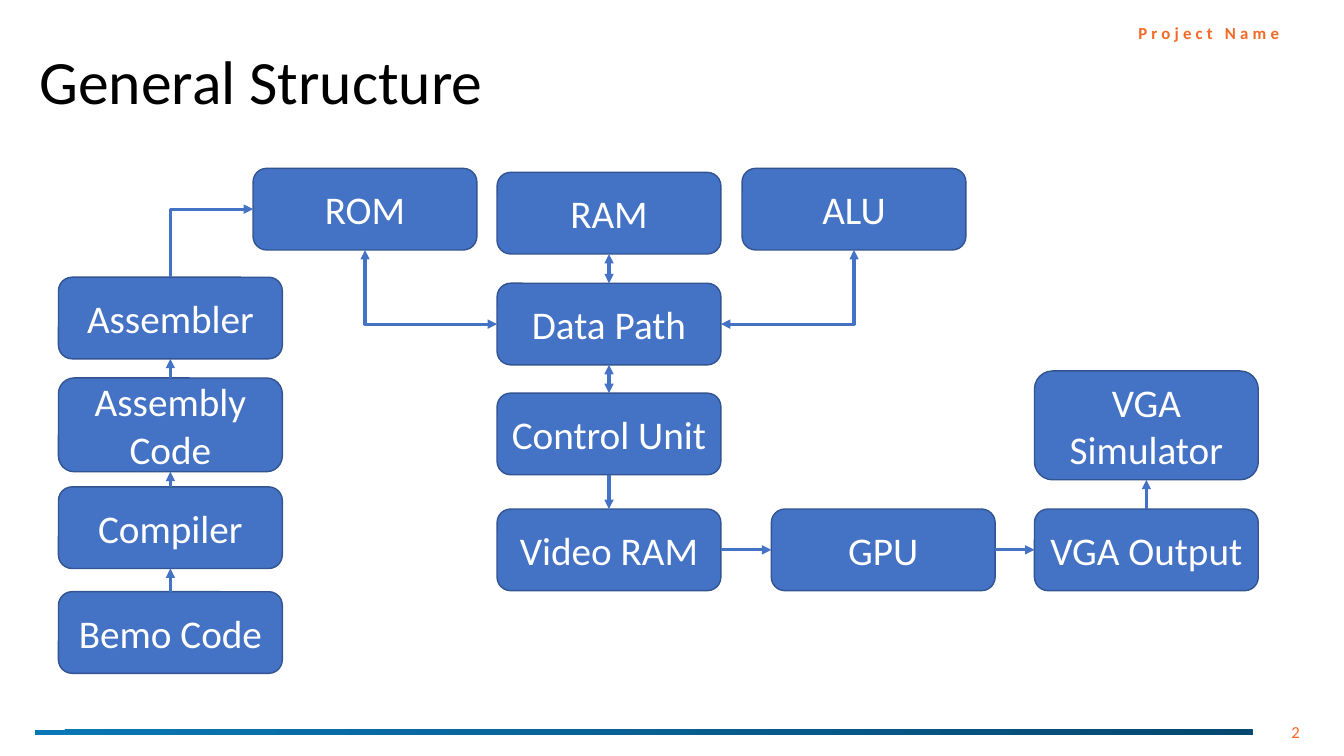
from lxml import etree
from pptx import Presentation
from pptx.dml.color import RGBColor
from pptx.enum.shapes import MSO_CONNECTOR, MSO_SHAPE
from pptx.enum.text import MSO_ANCHOR, PP_ALIGN
from pptx.oxml.ns import qn
from pptx.util import Inches, Pt

FONT = "Calibri"
BLUE, BORDER, ORANGE, WHITE, BLACK = "4472C4", "325491", "F26A25", "FFFFFF", "000000"
BAR_COLOURS = ("0A78B6", "064870")

BOX_W, BOX_H = 2.22, 0.81
TOOLCHAIN_X, CORE_X, VGA_X = 0.58, 4.93, 10.26
VIDEO_Y = 5.05

# name: (left, top, height)
BLOCKS = {
    "Bemo Code": (TOOLCHAIN_X, 5.87, BOX_H),
    "Compiler": (TOOLCHAIN_X, 4.83, BOX_H),
    "Assembly Code": (TOOLCHAIN_X, 3.75, 0.93),
    "Assembler": (TOOLCHAIN_X, 2.75, BOX_H),
    "ROM": (2.51, 1.67, BOX_H),
    "RAM": (CORE_X, 1.71, BOX_H),
    "ALU": (7.36, 1.67, BOX_H),
    "Data Path": (CORE_X, 2.81, BOX_H),
    "Control Unit": (CORE_X, 3.9, BOX_H),
    "Video RAM": (CORE_X, VIDEO_Y, BOX_H),
    "GPU": (7.65, VIDEO_Y, BOX_H),
    "VGA Output": (VGA_X, VIDEO_Y, BOX_H),
    "VGA Simulator": (VGA_X, 3.68, 1.08),
}

# Connection sites of a rounded rectangle
TOP, LEFT, BOTTOM, RIGHT = range(4)

# (from, site, to, site)
STRAIGHT_ARROWS = [
    ("Bemo Code", TOP, "Compiler", BOTTOM),
    ("Compiler", TOP, "Assembly Code", BOTTOM),
    ("Assembly Code", TOP, "Assembler", BOTTOM),
    ("Control Unit", BOTTOM, "Video RAM", TOP),
    ("Video RAM", RIGHT, "GPU", LEFT),
    ("GPU", RIGHT, "VGA Output", LEFT),
    ("VGA Output", TOP, "VGA Simulator", BOTTOM),
]
# (from, site, to, site, arrowhead at both ends)
BENT_ARROWS = [
    ("Assembler", TOP, "ROM", LEFT, False),
    ("ROM", BOTTOM, "Data Path", LEFT, True),
    ("ALU", BOTTOM, "Data Path", RIGHT, True),
    ("RAM", BOTTOM, "Data Path", TOP, True),
    ("Control Unit", TOP, "Data Path", BOTTOM, True),
]


def rgb(value):
    """Turn a hex string into a colour."""
    return RGBColor.from_string(value)


def write(frame, text, size, colour, align, anchor=MSO_ANCHOR.MIDDLE):
    """Put one formatted paragraph into a text frame and return its run."""
    frame.word_wrap = True
    frame.vertical_anchor = anchor
    paragraph = frame.paragraphs[0]
    paragraph.alignment = align
    run = paragraph.add_run()
    run.text = text
    run.font.name, run.font.size = FONT, Pt(size)
    run.font.color.rgb = rgb(colour)
    return run


def add_block(name, left, top, height):
    """Draw one component of the system."""
    box = slide.shapes.add_shape(MSO_SHAPE.ROUNDED_RECTANGLE, Inches(left),
                                 Inches(top), Inches(BOX_W), Inches(height))
    box.shadow.inherit = False
    box.fill.solid()
    box.fill.fore_color.rgb = rgb(BLUE)
    box.line.color.rgb = rgb(BORDER)
    box.line.width = Pt(1)
    write(box.text_frame, name, 28, WHITE, PP_ALIGN.CENTER)
    return box


def add_arrow(kind, start, start_site, end, end_site, both=False):
    """Connect two blocks with an arrow."""
    arrow = slide.shapes.add_connector(kind, 0, 0, 0, 0)
    arrow.begin_connect(blocks[start], start_site)
    arrow.end_connect(blocks[end], end_site)
    arrow.line.color.rgb = rgb(BLUE)
    arrow.line.width = Pt(2.25)
    line = arrow.line._get_or_add_ln()
    for tag in ("a:headEnd", "a:tailEnd") if both else ("a:tailEnd",):
        etree.SubElement(line, qn(tag), type="triangle")
    etree.SubElement(arrow._element.spPr, qn("a:effectLst"))
    return arrow


def bend(arrow):
    """Make an elbow leave vertically: a quarter turn, flipped towards its end."""
    dx, dy = arrow.end_x - arrow.begin_x, arrow.end_y - arrow.begin_y
    mid_x, mid_y = arrow.begin_x + dx // 2, arrow.begin_y + dy // 2
    arrow.width, arrow.height = abs(dy), abs(dx)
    arrow.left, arrow.top = mid_x - abs(dy) // 2, mid_y - abs(dx) // 2
    properties = arrow._element.spPr
    frame = properties.find(qn("a:xfrm"))
    frame.set("rot", str(90 * 60000))
    frame.set("flipH", str(int(dy < 0)))
    frame.set("flipV", str(int(dx > 0)))
    preset = "bentConnector2" if dx else "bentConnector3"
    properties.find(qn("a:prstGeom")).set("prst", preset)


prs = Presentation()
prs.slide_width, prs.slide_height = Inches(13.33), Inches(7.5)
slide = prs.slides.add_slide(prs.slide_layouts[5])

title = slide.shapes.title
title.left, title.top = Inches(0.29), Inches(0.11)
title.width, title.height = Inches(11.5), Inches(1.45)
write(title.text_frame, "General Structure", 44, BLACK, PP_ALIGN.LEFT)
title.text_frame.paragraphs[0].line_spacing = 0.9

project = slide.shapes.add_textbox(Inches(11.29), Inches(0.18), Inches(1.45), Inches(0.3))
label = write(project.text_frame, "Project Name", 12, ORANGE, PP_ALIGN.LEFT, MSO_ANCHOR.TOP)
label.font.bold = True
label.font._element.set("spc", "300")
project.text_frame.margin_left = project.text_frame.margin_right = 0
project.text_frame.word_wrap = False

bar = slide.shapes.add_shape(MSO_SHAPE.RECTANGLE, Inches(0.35), Inches(7.24),
                             Inches(12.07), Inches(0.05))
bar.shadow.inherit = False
bar.line.fill.background()
bar.fill.gradient()
bar.fill.gradient_angle = 45
for stop, colour in zip(bar.fill.gradient_stops, BAR_COLOURS):
    stop.color.rgb = rgb(colour)

number = slide.shapes.add_textbox(Inches(9.99), Inches(7.06), Inches(3), Inches(0.4))
write(number.text_frame, "2", 12, ORANGE, PP_ALIGN.RIGHT)

blocks = {name: add_block(name, *place) for name, place in BLOCKS.items()}
for link in STRAIGHT_ARROWS:
    add_arrow(MSO_CONNECTOR.STRAIGHT, *link)
for link in BENT_ARROWS:
    bend(add_arrow(MSO_CONNECTOR.ELBOW, *link))

prs.save("out.pptx")
